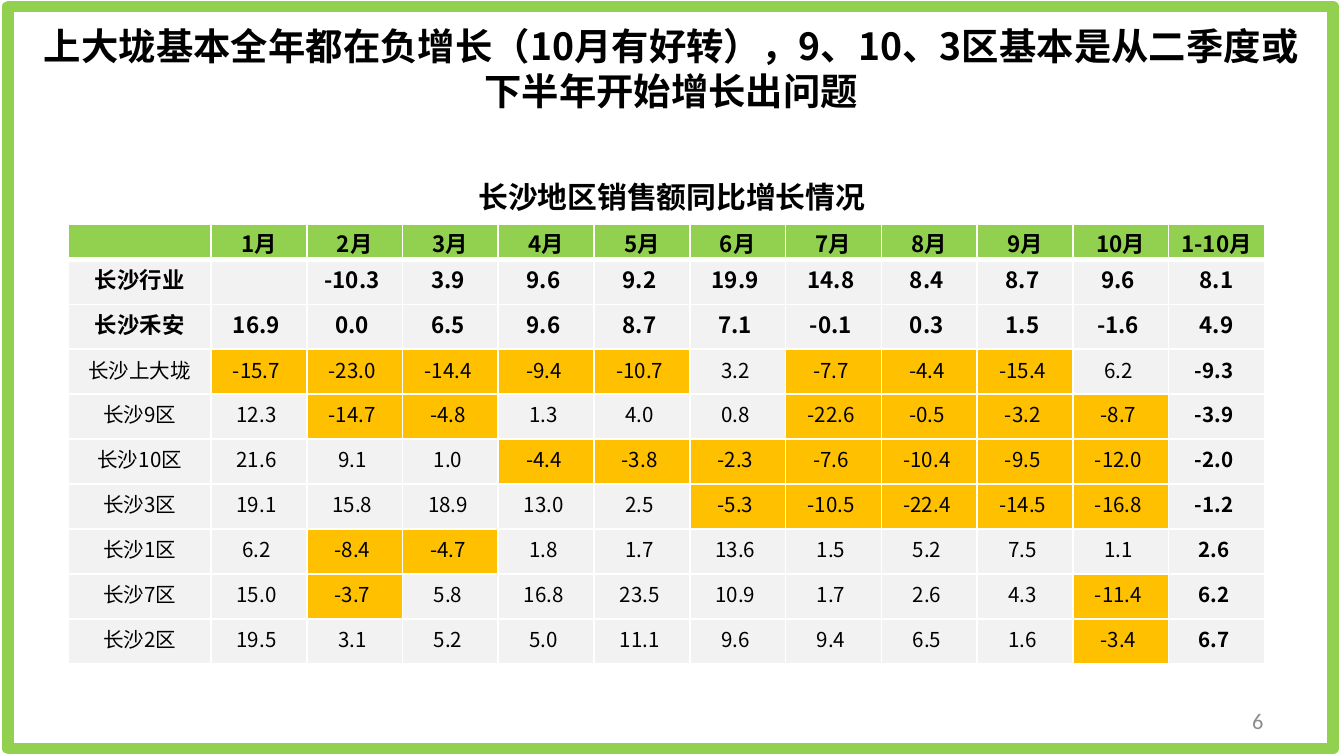
from lxml import etree
from pptx import Presentation, util as u
from pptx.dml.color import RGBColor
from pptx.enum import shapes, text
from pptx.oxml.ns import qn

TITLE = "上大垅基本全年都在负增长（10月有好转），9、10、3区基本是从二季度或下半年开始增长出问题"
CAPTION = "长沙地区销售额同比增长情况"
PAGE = "6"
HEADER = [""] + [f"{month}月" for month in range(1, 11)] + ["1-10月"]
SUMMARY = [
    ("长沙行业", None, -10.3, 3.9, 9.6, 9.2, 19.9, 14.8, 8.4, 8.7, 9.6, "8.1"),
    ("长沙禾安", 16.9, 0.0, 6.5, 9.6, 8.7, 7.1, -0.1, 0.3, 1.5, -1.6, "4.9"),
]
DISTRICTS = [
    ("长沙上大垅", -15.7, -23.0, -14.4, -9.4, -10.7, 3.2, -7.7, -4.4, -15.4, 6.2, -9.3),
    ("长沙9区", 12.3, -14.7, -4.8, 1.3, 4.0, 0.8, -22.6, -0.5, -3.2, -8.7, -3.9),
    ("长沙10区", 21.6, 9.1, 1.0, -4.4, -3.8, -2.3, -7.6, -10.4, -9.5, -12.0, -2.0),
    ("长沙3区", 19.1, 15.8, 18.9, 13.0, 2.5, -5.3, -10.5, -22.4, -14.5, -16.8, -1.2),
    ("长沙1区", 6.2, -8.4, -4.7, 1.8, 1.7, 13.6, 1.5, 5.2, 7.5, 1.1, 2.6),
    ("长沙7区", 15.0, -3.7, 5.8, 16.8, 23.5, 10.9, 1.7, 2.6, 4.3, -11.4, 6.2),
    ("长沙2区", 19.5, 3.1, 5.2, 5.0, 11.1, 9.6, 9.4, 6.5, 1.6, -3.4, 6.7),
]
COLORS = {"green": "92D050", "grey": "F2F2F2", "amber": "FFC000",
          "white": "FFFFFF", "black": "000000", "muted": "8C8C8C"}
CJK = "Noto Sans CJK SC"
SLIDE_WIDTH = 10
SLIDE_HEIGHT = SLIDE_WIDTH * 9 / 16
TABLE_WIDTH, TABLE_HEIGHT = 8.9, 3.27
LABEL_WIDTH, HEADER_HEIGHT = 1.06, 0.26


def color(name):
    return RGBColor.from_string(COLORS[name])


def box(left, top, width, height):
    return [u.Inches(value) for value in (left, top, width, height)]


def write(frame, content, size, bold=False, font=CJK, ink="black",
          align=text.PP_ALIGN.CENTER):
    frame.text = content
    paragraph = frame.paragraphs[0]
    paragraph.alignment = align
    for run in paragraph.runs:
        run.font.size = u.Pt(size)
        run.font.bold = bold
        run.font.name = font
        run.font.color.rgb = color(ink)
        etree.SubElement(run.font._element, qn("a:ea"), typeface=font)
    if not content:
        etree.SubElement(paragraph._p, qn("a:endParaRPr"), sz=str(size * 100))


def set_insets(frame, left, top, right, bottom):
    frame.margin_left, frame.margin_top, frame.margin_right, frame.margin_bottom = box(
        left, top, right, bottom)


def set_borders(cell, bottom):
    properties = cell._tc.get_or_add_tcPr()
    widths = {"lnL": 1, "lnR": 1, "lnT": 1, "lnB": bottom}
    for index, (tag, width) in enumerate(widths.items()):
        line = etree.Element(qn(f"a:{tag}"), w=str(u.Pt(width)))
        fill = etree.SubElement(line, qn("a:solidFill"))
        etree.SubElement(fill, qn("a:srgbClr"), val=COLORS["white"])
        properties.insert(index, line)


def fill_cell(cell, value, size, bold, fill, header):
    content = f"{value:.1f} " if isinstance(value, float) else value or ""
    write(cell.text_frame, content, size, bold)
    set_insets(cell, 0.01, 0.01, 0.01, 0 if header else 0.05)
    cell.vertical_anchor = text.MSO_ANCHOR.MIDDLE
    cell.fill.solid()
    cell.fill.fore_color.rgb = color(fill)
    set_borders(cell, 3 if header else 1)


def add_growth_table(slide):
    rows = [HEADER] + SUMMARY + DISTRICTS
    last = len(HEADER) - 1
    table = slide.shapes.add_table(
        len(rows), len(HEADER), *box(0.51, 1.67, TABLE_WIDTH, TABLE_HEIGHT)).table
    for index, column in enumerate(table.columns):
        column.width = u.Inches(
            (TABLE_WIDTH - LABEL_WIDTH) / last if index else LABEL_WIDTH)
    for index, row in enumerate(table.rows):
        row.height = u.Inches(
            (TABLE_HEIGHT - HEADER_HEIGHT) / (len(rows) - 1) if index else HEADER_HEIGHT)
    for r, values in enumerate(rows):
        district = r > len(SUMMARY)
        for c, value in enumerate(values):
            negative = district and 0 < c < last and value < 0
            fill = "green" if r == 0 else "amber" if negative else "grey"
            fill_cell(table.cell(r, c), value, 11 if district else 12,
                      not district or c == last, fill, r == 0)


def main():
    presentation = Presentation()
    presentation.slide_width = u.Inches(SLIDE_WIDTH)
    presentation.slide_height = u.Inches(SLIDE_HEIGHT)
    slide = presentation.slides.add_slide(presentation.slide_layouts[5])

    title = slide.shapes.title
    title.left, title.top, title.width, title.height = box(0.18, 0.13, 9.63, 0.75)
    frame = title.text_frame
    write(frame, TITLE, 20, True)
    set_insets(frame, 0.07, 0.04, 0.07, 0.04)
    frame.vertical_anchor = text.MSO_ANCHOR.TOP
    frame.word_wrap = True
    frame.auto_size = text.MSO_AUTO_SIZE.NONE

    border = slide.shapes.add_shape(
        shapes.MSO_SHAPE.RECTANGLE, *box(0.06, 0.05, 9.86, 5.52))
    border.shadow.inherit = False
    border.fill.background()
    border.line.color.rgb = color("green")
    border.line.width = u.Pt(6)

    caption = slide.shapes.add_textbox(*box(3.12, 1.29, 3.76, 0.34)).text_frame
    caption.word_wrap = True
    set_insets(caption, 0.07, 0.04, 0.07, 0.04)
    write(caption, CAPTION, 16, True)

    add_growth_table(slide)

    number = slide.shapes.add_textbox(*box(7.17, 5.21, 2.33, 0.3)).text_frame
    number.word_wrap = True
    number.vertical_anchor = text.MSO_ANCHOR.MIDDLE
    write(number, PAGE, 12, font="Calibri", ink="muted", align=text.PP_ALIGN.RIGHT)

    presentation.save("out.pptx")


if __name__ == "__main__":
    main()
